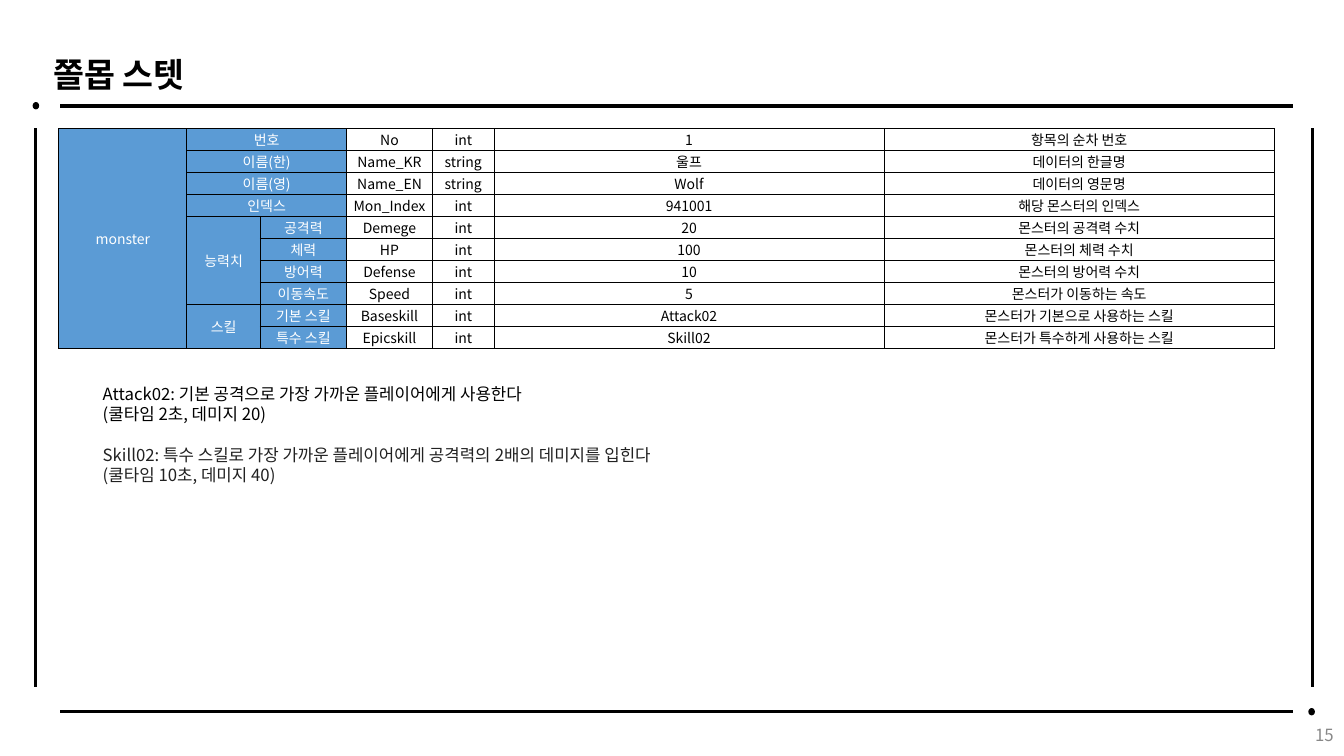
from dataclasses import dataclass

from lxml import etree
from pptx import Presentation
from pptx.dml.color import RGBColor
from pptx.enum.shapes import MSO_CONNECTOR, MSO_SHAPE
from pptx.enum.text import MSO_ANCHOR, PP_ALIGN
from pptx.oxml.ns import qn
from pptx.util import Cm, Pt

STRAIGHT = MSO_CONNECTOR.STRAIGHT
OVAL = MSO_SHAPE.OVAL
MIDDLE, TOP = MSO_ANCHOR.MIDDLE, MSO_ANCHOR.TOP
LEFT, CENTER, RIGHT = PP_ALIGN.LEFT, PP_ALIGN.CENTER, PP_ALIGN.RIGHT


@dataclass(frozen=True)
class Theme:
    font: str = "Noto Sans CJK KR"
    black: str = "000000"
    white: str = "FFFFFF"
    blue: str = "5B9BD5"
    gray: str = "888888"
    dark: str = "212121"
    title_size: float = 24
    body_size: float = 12
    table_size: float = 10
    frame_width: float = 2.25
    border_width: float = 0.75


theme = Theme()


def write_text(paragraph, text, size, color, bold=False, **paragraph_format):
    for name, value in paragraph_format.items():
        setattr(paragraph, name, value)
    run = paragraph.add_run()
    run.text = text
    font_format = {"name": theme.font, "size": Pt(size), "bold": bold}
    for name, value in font_format.items():
        setattr(run.font, name, value)
    run.font.color.rgb = RGBColor.from_string(color)
    east_asian = etree.SubElement(run.font._element, qn("a:ea"))
    east_asian.set("typeface", theme.font)


def add_text_box(slide, left, top, width, height, anchor):
    box = slide.shapes.add_textbox(Cm(left), Cm(top), Cm(width), Cm(height))
    box.text_frame.word_wrap = True
    box.text_frame.vertical_anchor = anchor
    return box.text_frame


presentation = Presentation()
presentation.slide_width = Cm(33.87)
presentation.slide_height = Cm(19.05)
slide = presentation.slides.add_slide(presentation.slide_layouts[6])

title = add_text_box(slide, 1.09, 0.1, 29.21, 3.68, MIDDLE)
write_text(title.paragraphs[0], "쫄몹 스텟", theme.title_size, theme.black, bold=True,
           alignment=LEFT, line_spacing=0.9)

page_number = add_text_box(slide, 26.24, 18.01, 7.62, 1.02, MIDDLE)
write_text(page_number.paragraphs[0], "15", theme.body_size, theme.gray, alignment=RIGHT)

frame_lines = [
    (1.52, 2.67, 32.59, 2.67),
    (1.52, 17.93, 32.59, 17.93),
    (0.89, 3.23, 0.89, 17.32),
    (33.07, 3.23, 33.07, 17.32),
]
for ends in frame_lines:
    line = slide.shapes.add_connector(STRAIGHT, *[Cm(end) for end in ends])
    line.line.color.rgb = RGBColor.from_string(theme.black)
    line.line.width = Pt(theme.frame_width)
    etree.SubElement(line._element.spPr, qn("a:effectLst"))

for left, top in [(32.99, 17.86), (0.84, 2.59)]:
    dot = slide.shapes.add_shape(OVAL, Cm(left), Cm(top), Cm(0.13), Cm(0.15))
    dot.shadow.inherit = False
    dot.fill.solid()
    dot.fill.fore_color.rgb = RGBColor.from_string(theme.black)
    dot.line.color.rgb = RGBColor.from_string(theme.black)
    dot.line.width = Pt(1)

monster_rows = [
    ("monster", "번호", "", "No", "int", "1", "항목의 순차 번호"),
    ("", "이름(한)", "", "Name_KR", "string", "울프", "데이터의 한글명"),
    ("", "이름(영)", "", "Name_EN", "string", "Wolf", "데이터의 영문명"),
    ("", "인덱스", "", "Mon_Index", "int", "941001", "해당 몬스터의 인덱스"),
    ("", "능력치", "공격력", "Demege", "int", "20", "몬스터의 공격력 수치"),
    ("", "", "체력", "HP", "int", "100", "몬스터의 체력 수치"),
    ("", "", "방어력", "Defense", "int", "10", "몬스터의 방어력 수치"),
    ("", "", "이동속도", "Speed", "int", "5", "몬스터가 이동하는 속도"),
    ("", "스킬", "기본 스킬", "Baseskill", "int", "Attack02", "몬스터가 기본으로 사용하는 스킬"),
    ("", "", "특수 스킬", "Epicskill", "int", "Skill02", "몬스터가 특수하게 사용하는 스킬"),
]
column_widths = [3.23, 1.85, 2.17, 2.17, 1.55, 9.83, 9.83]
header_columns = 3
table_height = Cm(5.54)

table = slide.shapes.add_table(
    len(monster_rows), len(column_widths),
    Cm(1.48), Cm(3.24), Cm(sum(column_widths)), table_height,
).table
table.first_row = False
table.horz_banding = False
for column, width in zip(table.columns, column_widths):
    column.width = Cm(width)

cell_format = {"margin_left": 0, "margin_right": 0, "margin_top": 0, "margin_bottom": 0,
               "vertical_anchor": MIDDLE}
for row_index, row_texts in enumerate(monster_rows):
    table.rows[row_index].height = table_height // len(monster_rows)
    for column_index, text in enumerate(row_texts):
        cell = table.cell(row_index, column_index)
        for name, value in cell_format.items():
            setattr(cell, name, value)
        properties = cell._tc.get_or_add_tcPr()
        for side in ("a:lnL", "a:lnR", "a:lnT", "a:lnB"):
            border = etree.SubElement(properties, qn(side), w=str(Pt(theme.border_width)))
            border_fill = etree.SubElement(border, qn("a:solidFill"))
            etree.SubElement(border_fill, qn("a:srgbClr"), val=theme.black)
        is_header = column_index < header_columns
        if is_header:
            cell.fill.solid()
            cell.fill.fore_color.rgb = RGBColor.from_string(theme.blue)
        else:
            cell.fill.background()
        if text:
            write_text(cell.text_frame.paragraphs[0], text, theme.table_size,
                       theme.white if is_header else theme.black, alignment=CENTER)

merged_ranges = [((0, 0), (9, 0)), ((4, 1), (7, 1)), ((8, 1), (9, 1))]
merged_ranges += [((row, 1), (row, 2)) for row in range(4)]
for first, last in merged_ranges:
    table.cell(*first).merge(table.cell(*last))

skill_notes = [
    ("Attack02: 기본 공격으로 가장 가까운 플레이어에게 사용한다", theme.black, 0),
    ("(쿨타임 2초, 데미지 20)", theme.black, 0),
    ("Skill02: 특수 스킬로 가장 가까운 플레이어에게 공격력의 2배의 데미지를 입힌다", theme.dark, 14.4),
    ("(쿨타임 10초, 데미지 40)", theme.dark, 0),
]
notes_frame = add_text_box(slide, 2.34, 9.55, 26.62, 2.82, TOP)
for index, (text, color, gap) in enumerate(skill_notes):
    paragraph = notes_frame.add_paragraph() if index else notes_frame.paragraphs[0]
    write_text(paragraph, text, theme.body_size, color,
               alignment=LEFT, line_spacing=Pt(14.4), space_before=Pt(gap))

presentation.save("out.pptx")
